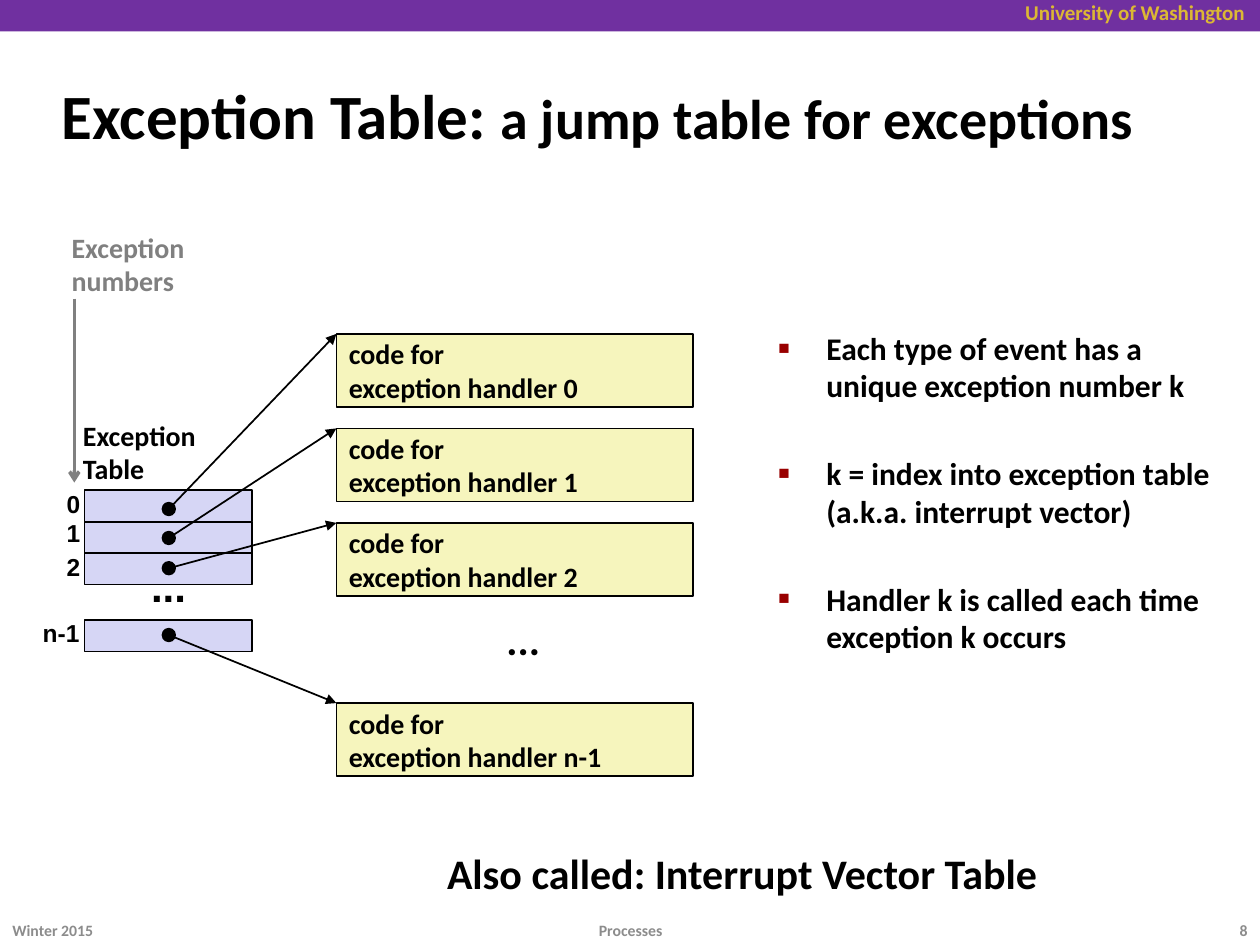
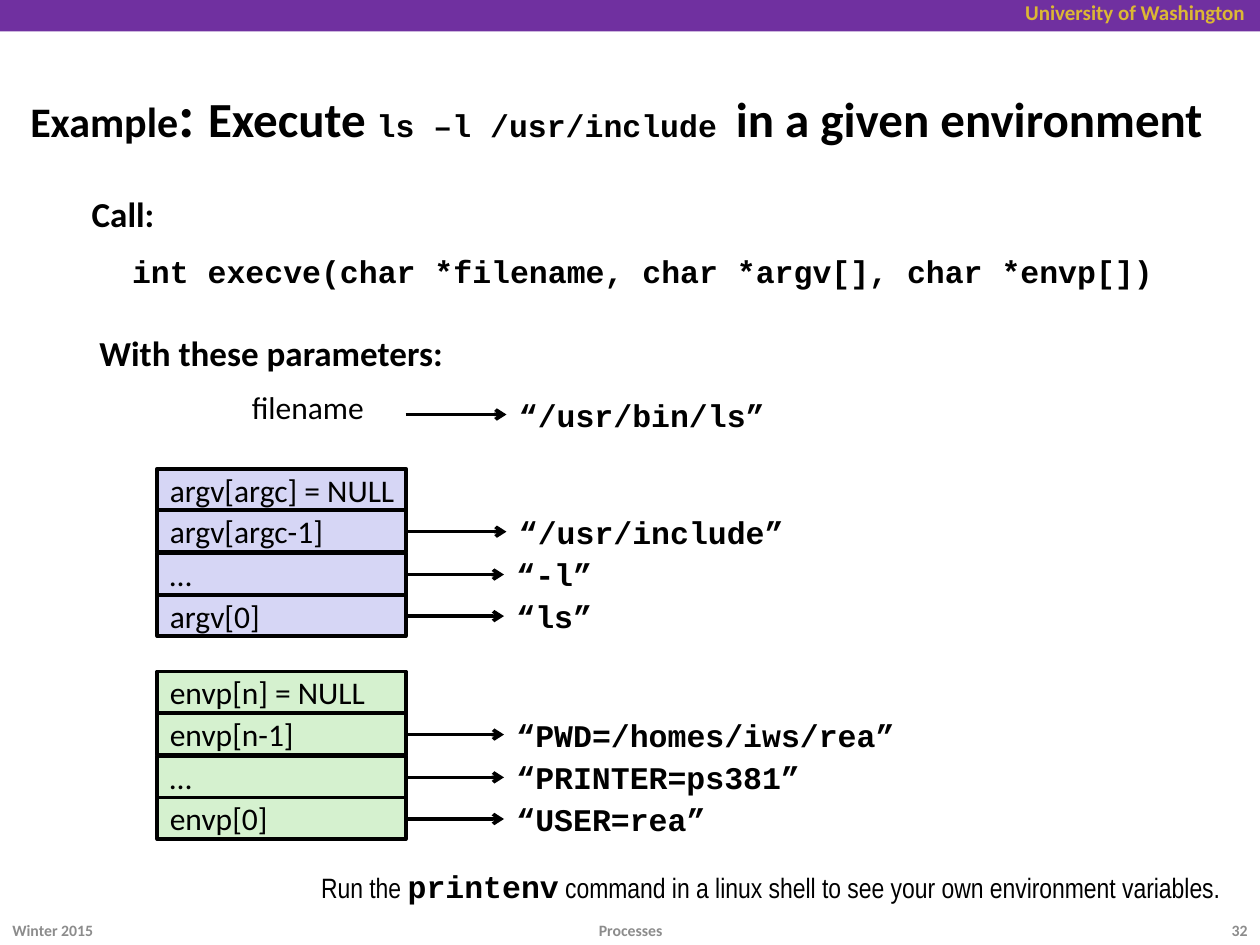
from lxml import etree
from pptx import Presentation
from pptx.dml.color import RGBColor
from pptx.enum.shapes import MSO_CONNECTOR as Link, MSO_SHAPE as Preset
from pptx.enum.text import MSO_ANCHOR as Anchor, MSO_AUTO_SIZE as AutoSize, PP_ALIGN as Align
from pptx.oxml.ns import qn
from pptx.util import Emu, Pt

BLACK = RGBColor(0x00, 0x00, 0x00)
GRAY = RGBColor(0x80, 0x80, 0x80)
FOOTER_GRAY = RGBColor(0x8C, 0x8C, 0x8C)
PURPLE = RGBColor(0x70, 0x30, 0xA0)
GOLD = RGBColor(0xDC, 0xB8, 0x34)
LAVENDER = RGBColor(0xD6, 0xD6, 0xF5)
YELLOW = RGBColor(0xF6, 0xF5, 0xBD)
GREEN = RGBColor(0xD5, 0xF1, 0xCF)
RED = RGBColor(0x99, 0x00, 0x00)

SANS, ARIAL, NARROW, MONO = "Calibri", "Arial", "Arial Narrow", "Courier New"
PX_PER_INCH = 100
ROW_PITCH = 100 / 3


def px(length):
    return Emu(round(length * 914400 / PX_PER_INCH))


def write(para, text, size=18, font=SANS, color=BLACK, bold=True):
    for index, line in enumerate(text.split("\n")):
        if index:
            para.add_line_break()
        span = para.add_run()
        span.text = line
        span.font.name = font
        span.font.size = Pt(size)
        span.font.bold = bold
        span.font.color.rgb = color


def write_lines(frame, lines, align=Align.LEFT, **style):
    for index, line in enumerate(lines):
        para = frame.add_paragraph() if index else frame.paragraphs[0]
        para.alignment = align
        write(para, line, **style)


def add_text(page, place, *lines, anchor=Anchor.TOP, wrap=False, **style):
    box = page.shapes.add_textbox(*map(px, place))
    frame = box.text_frame
    frame.word_wrap = wrap
    frame.vertical_anchor = anchor
    write_lines(frame, lines, **style)
    return frame


def add_block(page, place, fill, *lines, preset=Preset.RECTANGLE, line_width=1, **style):
    block = page.shapes.add_shape(preset, *map(px, place))
    block.shadow.inherit = False
    block.fill.solid()
    block.fill.fore_color.rgb = fill
    if line_width:
        block.line.color.rgb = BLACK
        block.line.width = Pt(line_width)
    else:
        block.line.fill.background()
    frame = block.text_frame
    frame.margin_right = 0
    frame.vertical_anchor = Anchor.MIDDLE
    write_lines(frame, lines, **style)


def add_arrow(page, start, end, head="arrow", color=BLACK, width=2):
    arrow = page.shapes.add_connector(Link.STRAIGHT, *map(px, start + end))
    arrow.line.color.rgb = color
    arrow.line.width = Pt(width)
    etree.SubElement(arrow.line._get_or_add_ln(), qn("a:tailEnd"), type=head)
    etree.SubElement(arrow._element.spPr, qn("a:effectLst"))


def set_indent(para, indent):
    properties = para._p.get_or_add_pPr()
    properties.set("marL", str(px(indent)))
    properties.set("indent", str(-px(indent)))
    return properties


def add_bullet(para):
    properties = set_indent(para, 38)
    color = etree.SubElement(properties, qn("a:buClr"))
    etree.SubElement(color, qn("a:srgbClr"), val=str(RED))
    etree.SubElement(properties, qn("a:buSzPct"), val="60000")
    etree.SubElement(properties, qn("a:buFont"), typeface=ARIAL)
    etree.SubElement(properties, qn("a:buChar"), char="■")


def add_page(deck, number, title_place, title_spans):
    page = deck.slides.add_slide(deck.slide_layouts[5])
    add_block(page, (0, 0, 1000, 25), PURPLE, line_width=0)
    add_text(page, (733, -5, 265, 30), "University of Washington",
             wrap=True, align=Align.RIGHT, size=12, color=GOLD)

    title = page.shapes.title
    title.left, title.top, title.width, title.height = map(px, title_place)
    frame = title.text_frame
    frame.auto_size = AutoSize.NONE
    frame.vertical_anchor = Anchor.MIDDLE
    para = frame.paragraphs[0]
    para.alignment = Align.LEFT
    set_indent(para, 13)
    for text, style in title_spans:
        write(para, text, **style)

    for left, width, text, align in (
        (0, 300, "Winter 2015", Align.LEFT),
        (342, 317, "Processes", Align.CENTER),
        (933, 67, str(number), Align.RIGHT),
    ):
        add_text(page, (left, 718, width, 40), text, anchor=Anchor.MIDDLE,
                 wrap=True, align=align, size=9, color=FOOTER_GRAY)
    return page


def add_table_entry(page, number, label_place, cell_top, dot_top, handler_top):
    dot_left, dot_size, handler_left = 129, 10, 267
    add_block(page, (67, cell_top, 133, 25), LAVENDER)
    add_text(page, (*label_place, 33), number, anchor=Anchor.MIDDLE, size=14, font=ARIAL)
    add_block(page, (dot_left, dot_top, dot_size, dot_size), BLACK, preset=Preset.OVAL)
    add_block(page, (handler_left, handler_top, 283, 58), YELLOW,
              "code for", f"exception handler {number}", line_width=0.75, size=16)
    center = (dot_left + dot_size // 2, dot_top + dot_size // 2)
    add_arrow(page, center, (handler_left, handler_top), head="triangle", width=1)


def add_exception_table(deck):
    page = add_page(deck, 8, (39, 49, 919, 83), (
        ("Exception Table: ", dict(size=36)),
        ("a jump table for exceptions", dict(size=32)),
    ))
    for entry in (
        ("0", (43, 383, 31), 389, 399, 265),
        ("1", (43, 406, 31), 414, 422, 340),
        ("2", (43, 433, 31), 439, 446, 415),
        ("n-1", (24, 486, 49), 492, 499, 558),
    ):
        add_table_entry(page, *entry)
    for place, font in (((110, 440, 48, 50), ARIAL), ((392, 482, 48, 50), SANS)):
        add_text(page, place, "...", anchor=Anchor.MIDDLE, size=24, font=font)

    add_text(page, (56, 327, 111, 64), "Exception", "Table", size=16)
    add_text(page, (47, 178, 116, 64), "Exception", "numbers", size=16, color=GRAY)
    add_arrow(page, (59, 237), (59, 383), color=GRAY)

    facts = add_text(page, (608, 256, 392, 283),
                     "Each type of event has a\nunique exception number k",
                     "k = index into exception table\n(a.k.a. interrupt vector)",
                     "Handler k is called each time\nexception k occurs", wrap=True)
    for index, para in enumerate(facts.paragraphs):
        add_bullet(para)
        if index:
            para.space_before = Pt(28.5)
    add_text(page, (345, 668, 493, 50), "Also called: Interrupt Vector Table", size=24)


def add_pointer(page, value, middle, width, tip=400):
    add_arrow(page, (322, middle), (tip, middle))
    add_text(page, (tip, middle - 20, width, 40), value, font=MONO)


def add_array(page, top, fill, rows):
    for index, (cell, value, width, tip) in enumerate(rows):
        row_top = round(top + index * ROW_PITCH)
        add_block(page, (125, row_top, 197, 33), fill, cell, line_width=2.25, bold=False)
        if value:
            add_pointer(page, value, row_top + 17, width, tip)


def add_execve_example(deck):
    page = add_page(deck, 32, (14, 49, 971, 83), (
        ("Example", dict(size=24)),
        (": ", dict(size=34)),
        ("Execute ", dict(size=28)),
        ("ls –l /usr/include ", dict(size=18, font=MONO)),
        ("in a given environment", dict(size=28)),
    ))
    add_text(page, (63, 148, 70, 44), "Call:", size=20)
    add_text(page, (95, 195, 834, 40),
             "int execve(char *filename, char *argv[], char *envp[])", font=MONO)
    add_text(page, (69, 258, 295, 44), "With these parameters:", size=20)

    add_text(page, (190, 303, 110, 40), "filename", bold=False)
    add_pointer(page, "“/usr/bin/ls”", 329, 216, tip=402)
    add_array(page, 372, LAVENDER, (
        ("argv[argc] = NULL", None, 0, 0),
        ("argv[argc-1]", "“/usr/include”", 231, 402),
        ("…", "“-l”", 81, 400),
        ("argv[0]", "“ls”", 81, 400),
    ))
    add_array(page, 533, GREEN, (
        ("envp[n] = NULL", None, 0, 0),
        ("envp[n-1]", "“PWD=/homes/iws/rea”", 322, 400),
        ("…", "“PRINTER=ps381”", 246, 400),
        ("envp[0]", "“USER=rea”", 171, 400),
    ))

    hint = add_text(page, (245, 683, 740, 40), "Run the ", size=16, font=NARROW, bold=False)
    para = hint.paragraphs[0]
    write(para, "printenv", font=MONO)
    write(para, " command in a linux shell to see your own environment variables.",
          size=16, font=NARROW, bold=False)


def main():
    deck = Presentation()
    deck.slide_width, deck.slide_height = px(1000), px(750)
    add_exception_table(deck)
    add_execve_example(deck)
    deck.save("out.pptx")


if __name__ == "__main__":
    main()
